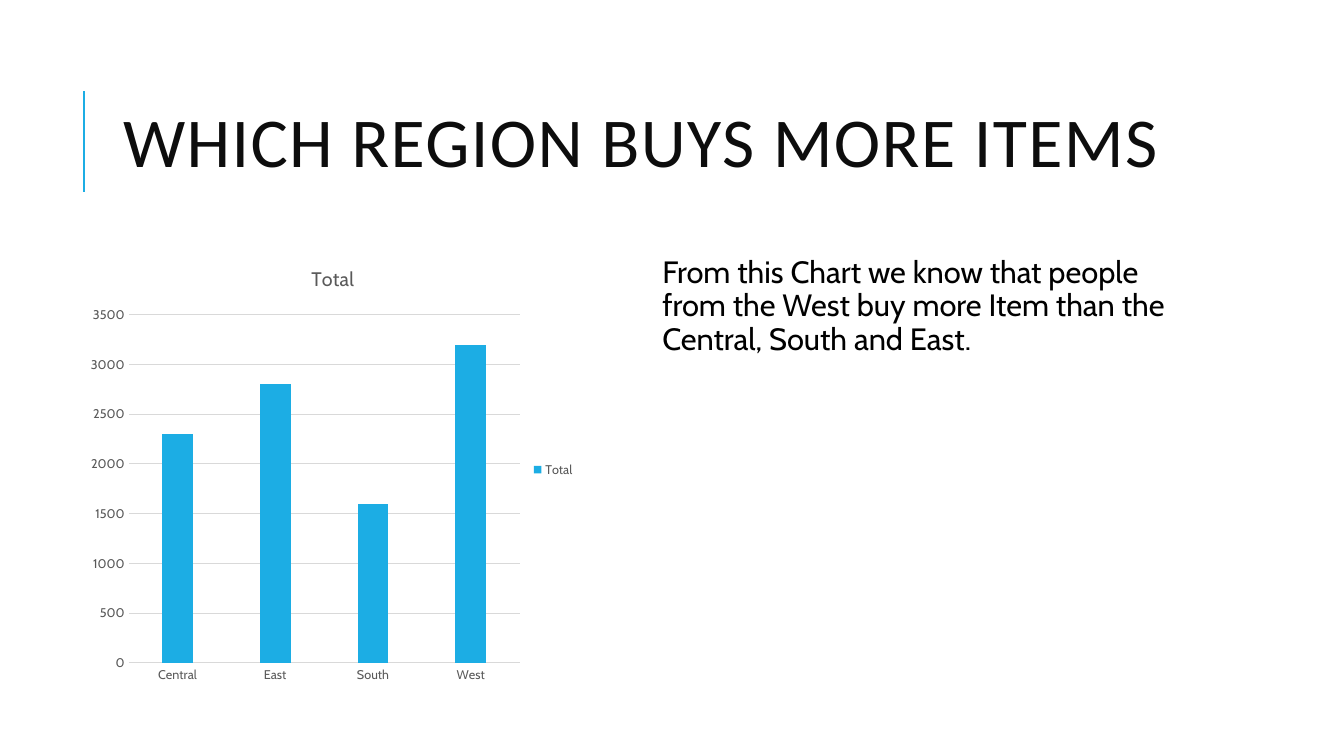
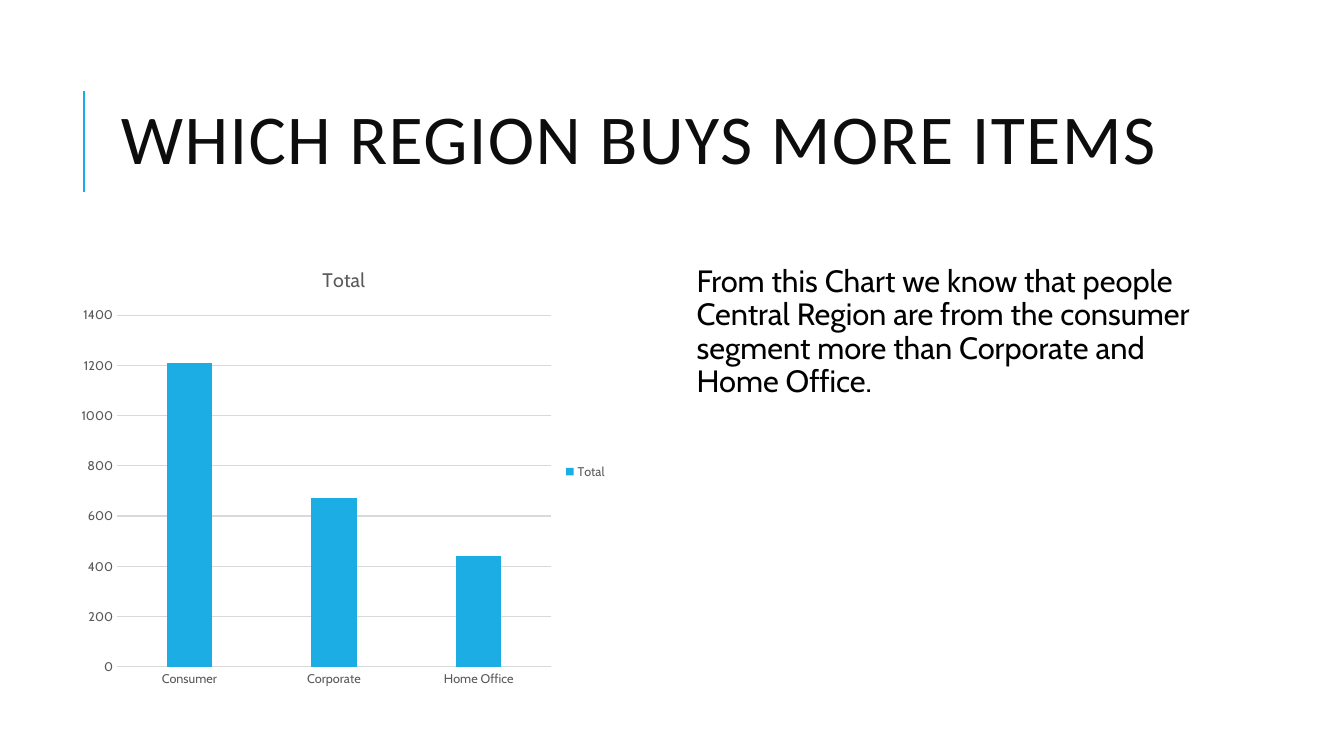
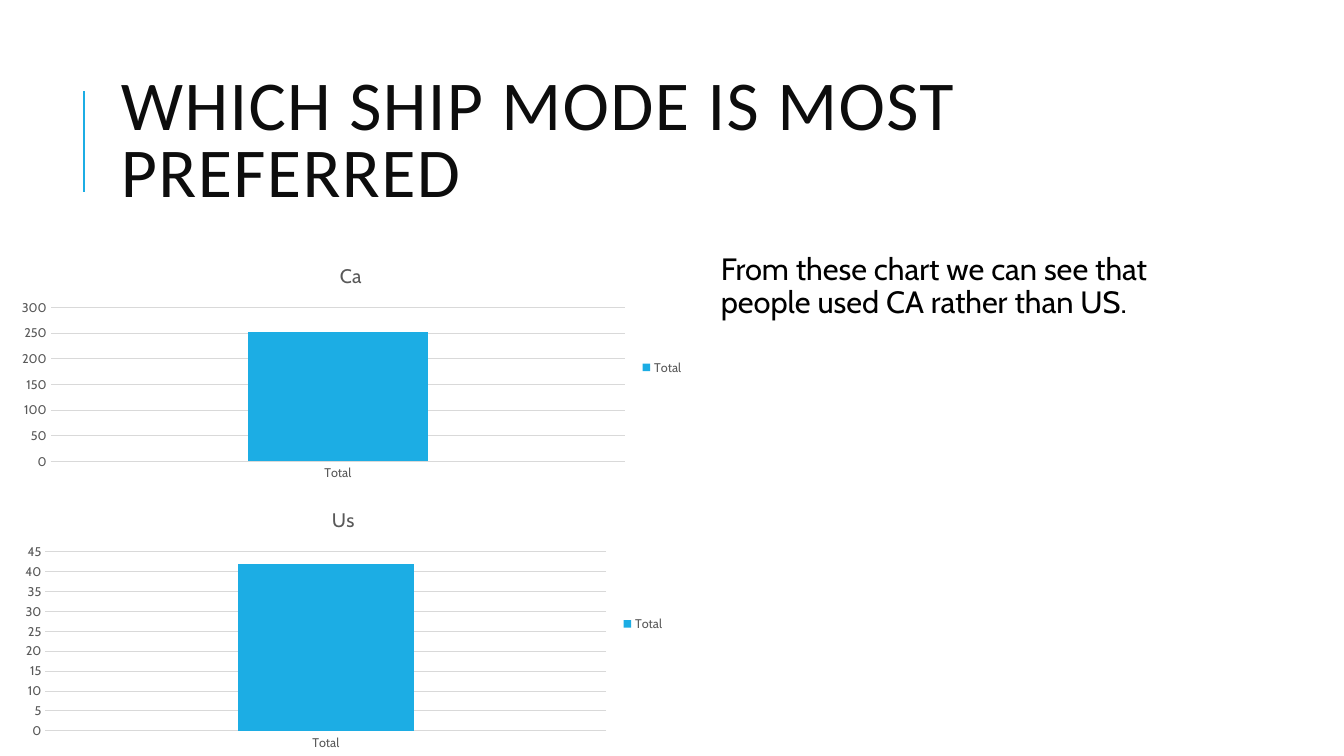
"""Build three slides that show sales by region, segment and ship mode."""
from dataclasses import dataclass

from lxml.etree import SubElement
from pptx import Presentation
from pptx.chart.data import CategoryChartData
from pptx.dml.color import RGBColor
from pptx.enum.chart import XL_CHART_TYPE, XL_LEGEND_POSITION, XL_TICK_MARK
from pptx.enum.shapes import MSO_CONNECTOR
from pptx.enum.text import MSO_ANCHOR, MSO_AUTO_SIZE, PP_ALIGN
from pptx.oxml.ns import qn
from pptx.presentation import Presentation as Deck
from pptx.slide import Slide
from pptx.text.text import Font
from pptx.util import Inches, Pt


@dataclass(frozen=True)
class Theme:
    """Colours, fonts and type sizes of the deck."""

    accent: RGBColor = RGBColor(0x1C, 0xAD, 0xE4)
    title: RGBColor = RGBColor(0x0D, 0x0D, 0x0D)
    body: RGBColor = RGBColor(0, 0, 0)
    label: RGBColor = RGBColor(0x59, 0x59, 0x59)
    grid: RGBColor = RGBColor(0xD9, 0xD9, 0xD9)
    title_font: str = "Calibri"
    body_font: str = "Cabin"
    title_size: int = 50
    body_size: int = 22
    chart_size: int = 10
    chart_title_size: int = 14
    label_size: int = 9


@dataclass(frozen=True)
class Box:
    """A rectangle in inches."""

    left: float
    top: float
    width: float
    height: float

    def lengths(self) -> tuple[Inches, Inches, Inches, Inches]:
        """Return the rectangle as slide lengths."""
        return Inches(self.left), Inches(self.top), Inches(self.width), Inches(self.height)


@dataclass(frozen=True)
class ColumnChart:
    """A one-series column chart and its scale."""

    box: Box
    title: str
    values: dict[str, int]
    maximum: int
    step: int


@dataclass(frozen=True)
class ChartSlide:
    """A title, a finding and the charts behind it."""

    title: str
    title_box: Box
    finding: str
    finding_box: Box
    charts: tuple[ColumnChart, ...]


THEME = Theme()
TITLE_BOX = Box(1.1, 0.61, 10.63, 1.64)
SLIDES = (
    ChartSlide(
        "WHICH REGION BUYS MORE ITEMS",
        Box(1.12, 0.64, 10.63, 1.64),
        "From this Chart we know that people from the West buy more Item "
        "than the Central, South and East.",
        Box(6.42, 2.5, 5.33, 4.4),
        (
            ColumnChart(
                Box(0.8, 2.46, 5, 4.4),
                "Total",
                {"Central": 2300, "East": 2800, "South": 1600, "West": 3200},
                3500,
                500,
            ),
        ),
    ),
    ChartSlide(
        "WHICH REGION BUYS MORE ITEMS",
        TITLE_BOX,
        "From this Chart we know that people Central Region are from the "
        "consumer segment more than Corporate and Home Office.",
        Box(6.76, 2.59, 5.33, 4.4),
        (
            ColumnChart(
                Box(0.7, 2.46, 5.42, 4.44),
                "Total",
                {"Consumer": 1210, "Corporate": 670, "Home Office": 440},
                1400,
                200,
            ),
        ),
    ),
    ChartSlide(
        "WHICH SHIP MODE IS MOST PREFERRED",
        TITLE_BOX,
        "From these chart we can see that people used CA rather than US.",
        Box(7, 2.47, 5.33, 4.4),
        (
            ColumnChart(Box(0.08, 2.47, 6.8, 2.35), "Ca", {"Total": 252}, 300, 50),
            ColumnChart(Box(0.12, 4.88, 6.57, 2.62), "Us", {"Total": 42}, 45, 5),
        ),
    ),
)


def style_font(font: Font, name: str, size: int, color: RGBColor) -> None:
    """Set the typeface, size and colour of a font."""
    font.name = name
    font.size = Pt(size)
    font.bold = False
    font.color.rgb = color


def add_title_rule(slide: Slide) -> None:
    """Draw the vertical accent line beside the title."""
    rule = slide.shapes.add_connector(
        MSO_CONNECTOR.STRAIGHT, Inches(0.83), Inches(1.9), Inches(0.83), Inches(0.9)
    )
    rule.line.color.rgb = THEME.accent
    rule.line.width = Pt(1.5)
    SubElement(rule._element.spPr, qn("a:effectLst"))


def set_title(slide: Slide, text: str, box: Box) -> None:
    """Place and format the title placeholder."""
    title = slide.shapes.title
    title.left, title.top, title.width, title.height = box.lengths()
    frame = title.text_frame
    frame.text = text
    frame.word_wrap = True
    frame.auto_size = MSO_AUTO_SIZE.NONE
    frame.vertical_anchor = MSO_ANCHOR.MIDDLE
    paragraph = frame.paragraphs[0]
    paragraph.alignment = PP_ALIGN.LEFT
    paragraph.line_spacing = 0.8
    font = paragraph.runs[0].font
    style_font(font, THEME.title_font, THEME.title_size, THEME.title)
    font._element.set("spc", "100")


def add_finding(slide: Slide, text: str, box: Box) -> None:
    """Add the finding beside the charts."""
    frame = slide.shapes.add_textbox(*box.lengths()).text_frame
    frame.word_wrap = True
    frame.margin_left = Inches(0.15)
    frame.margin_right = frame.margin_top = frame.margin_bottom = Inches(0.05)
    frame.text = text
    paragraph = frame.paragraphs[0]
    paragraph.line_spacing = 0.9
    paragraph.space_before = Pt(12)
    paragraph.space_after = Pt(2)
    style_font(paragraph.runs[0].font, THEME.body_font, THEME.body_size, THEME.body)


def add_column_chart(slide: Slide, column_chart: ColumnChart) -> None:
    """Add a column chart with a title, a legend and light gridlines."""
    data = CategoryChartData()
    data.categories = list(column_chart.values)
    data.add_series("Total", list(column_chart.values.values()))
    chart = slide.shapes.add_chart(
        XL_CHART_TYPE.COLUMN_CLUSTERED, *column_chart.box.lengths(), data
    ).chart
    style_font(chart.font, THEME.body_font, THEME.chart_size, THEME.body)

    chart.has_title = True
    title_frame = chart.chart_title.text_frame
    title_frame.text = column_chart.title
    title_font = title_frame.paragraphs[0].runs[0].font
    style_font(title_font, THEME.body_font, THEME.chart_title_size, THEME.label)
    chart.chart_title.include_in_layout = False

    chart.has_legend = True
    chart.legend.position = XL_LEGEND_POSITION.RIGHT
    chart.legend.include_in_layout = False
    style_font(chart.legend.font, THEME.body_font, THEME.label_size, THEME.label)

    for axis in (chart.category_axis, chart.value_axis):
        axis.major_tick_mark = axis.minor_tick_mark = XL_TICK_MARK.NONE
        style_font(axis.tick_labels.font, THEME.body_font, THEME.label_size, THEME.label)
    value_axis = chart.value_axis
    value_axis.minimum_scale = 0
    value_axis.maximum_scale = column_chart.maximum
    value_axis.major_unit = column_chart.step
    value_axis.format.line.fill.background()
    for line in (chart.category_axis.format.line, value_axis.major_gridlines.format.line):
        line.color.rgb = THEME.grid
        line.width = Pt(0.75)

    plot = chart.plots[0]
    plot.vary_by_categories = False
    plot.gap_width = 219
    plot.overlap = -27
    fill = plot.series[0].format.fill
    fill.solid()
    fill.fore_color.rgb = THEME.accent


def add_chart_slide(presentation: Deck, content: ChartSlide) -> None:
    """Add one slide with its title, finding and charts."""
    slide = presentation.slides.add_slide(presentation.slide_layouts.get_by_name("Title Only"))
    add_title_rule(slide)
    set_title(slide, content.title, content.title_box)
    add_finding(slide, content.finding, content.finding_box)
    for column_chart in content.charts:
        add_column_chart(slide, column_chart)


def main() -> None:
    """Build and save the deck."""
    presentation = Presentation()
    presentation.slide_width = Inches(13.33)
    presentation.slide_height = Inches(7.5)
    for content in SLIDES:
        add_chart_slide(presentation, content)
    presentation.save("out.pptx")


main()
